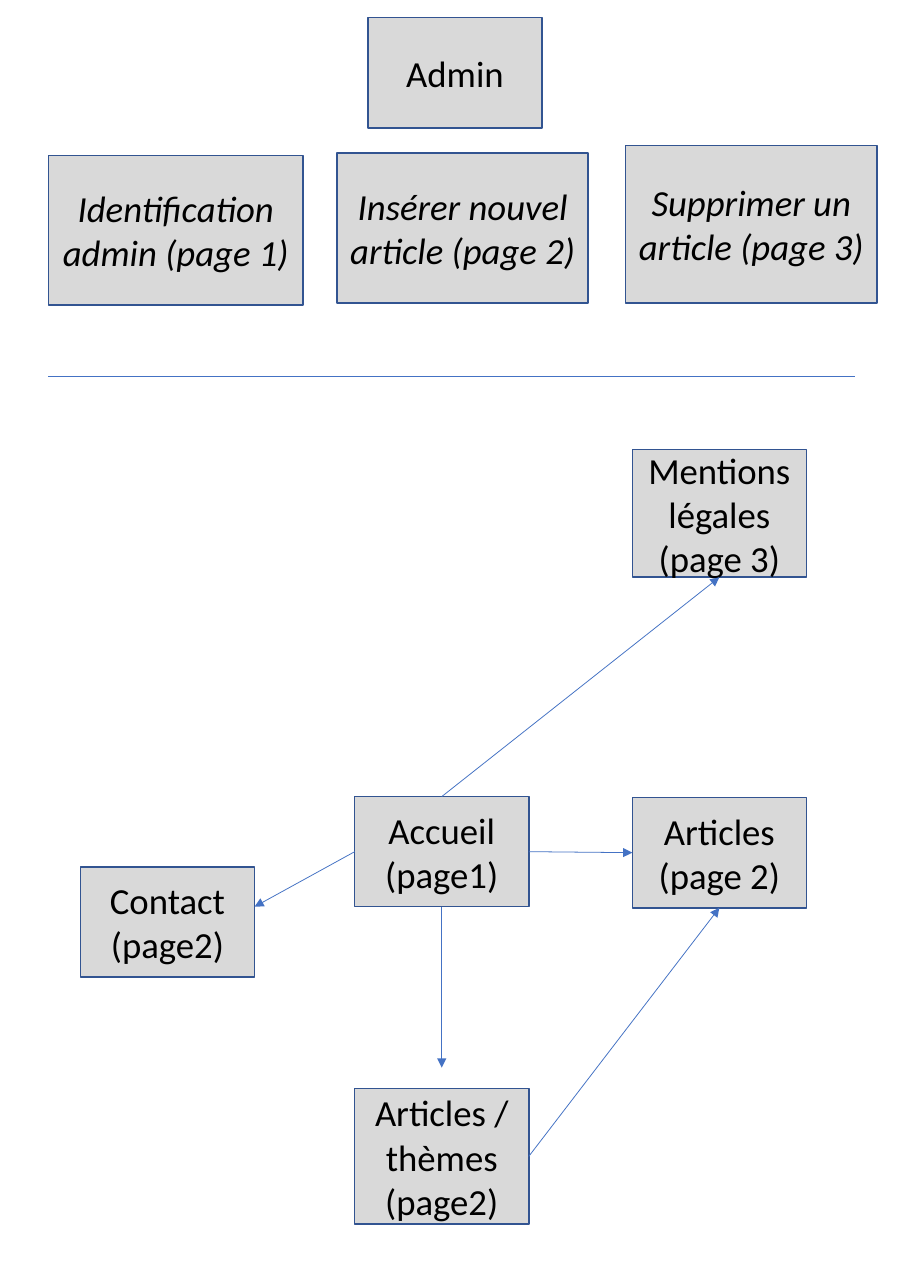
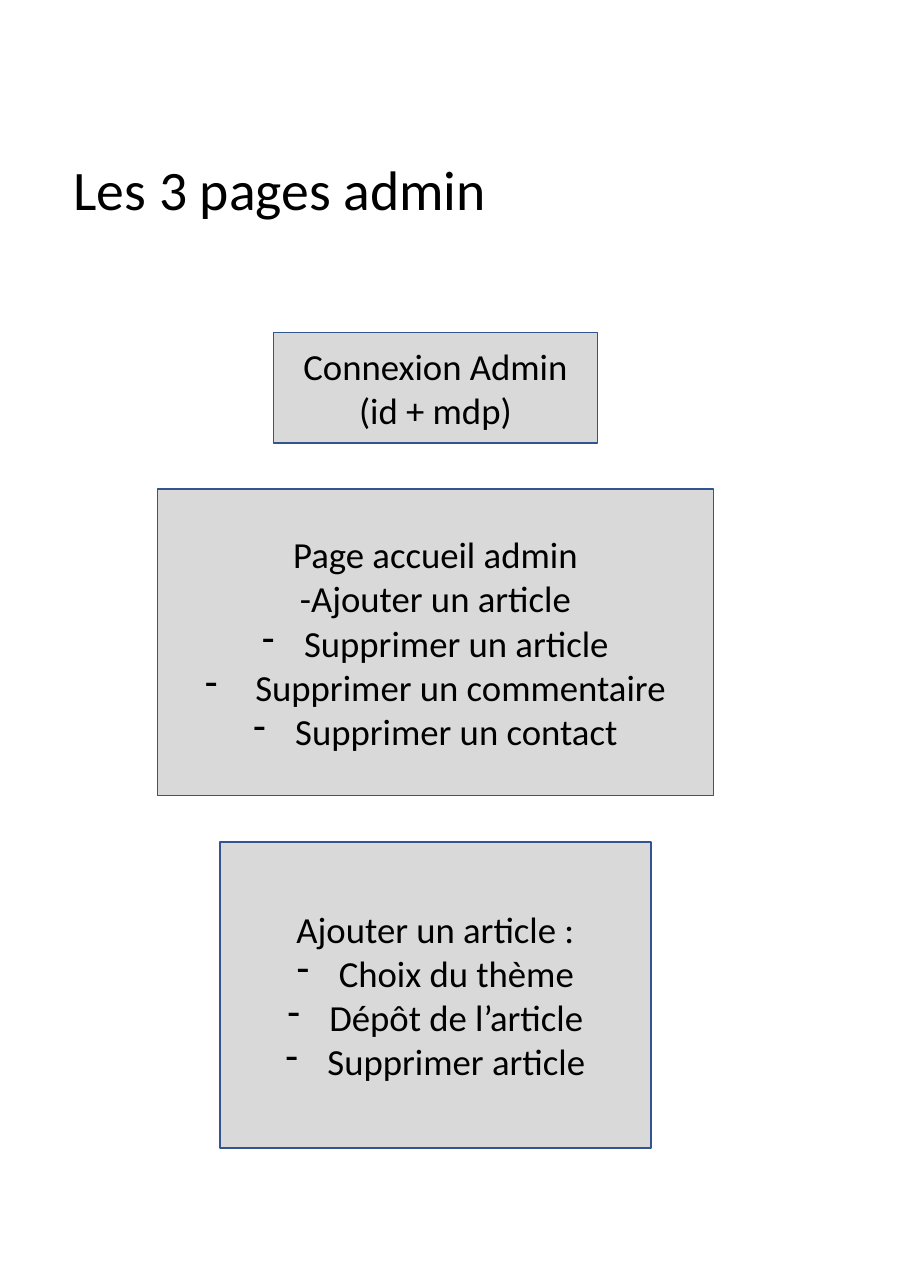
"""Build a two-slide site map: page links, then the admin pages."""
import pptx
import pptx.dml.color
import pptx.enum.shapes
import pptx.enum.text
import pptx.oxml.ns
import pptx.util
from lxml import etree

presentation = pptx.Presentation()
presentation.slide_width = pptx.util.Inches(8.27)
presentation.slide_height = pptx.util.Inches(11.69)
COLUMN = presentation.slide_width / 100
ROW = presentation.slide_height / 100

BOX_FILL, BOX_LINE, LINK, INK = "D9D9D9", "325491", "4472C4", "000000"
BODY = {"name": "Calibri", "size": pptx.util.Pt(24)}
ITALIC = {**BODY, "italic": True}
TITLE = {**BODY, "size": pptx.util.Pt(36.4)}
FRAME = {"word_wrap": True, "vertical_anchor": pptx.enum.text.MSO_ANCHOR.MIDDLE}
CENTER = pptx.enum.text.PP_ALIGN.CENTER
LEFT = pptx.enum.text.PP_ALIGN.LEFT
TOP_SIDE, LEFT_SIDE, BOTTOM_SIDE, RIGHT_SIDE = range(4)
INDENT = pptx.util.Inches(0.38)
BOX_WIDTH, BOX_HEIGHT = 19.11, 8.55


def color(hex_string):
    return pptx.dml.color.RGBColor.from_string(hex_string)


def write(shape, lines, font_format, alignment=CENTER, bullets=()):
    for name, value in FRAME.items():
        setattr(shape.text_frame, name, value)
    shape.text_frame.text = "\n".join([*lines, *bullets])
    for index, paragraph in enumerate(shape.text_frame.paragraphs):
        paragraph.alignment = alignment
        if index >= len(lines):
            properties = paragraph._p.get_or_add_pPr()
            properties.set("marL", str(INDENT))
            properties.set("indent", str(-INDENT))
            etree.SubElement(properties, pptx.oxml.ns.qn("a:buFontTx"))
            etree.SubElement(properties, pptx.oxml.ns.qn("a:buChar"), char="-")
        for run in paragraph.runs:
            for name, value in font_format.items():
                setattr(run.font, name, value)
            run.font.color.rgb = color(INK)


blank = presentation.slide_layouts[6]
map_slide = presentation.slides.add_slide(blank)
admin_slide = presentation.slides.add_slide(blank)

title = admin_slide.shapes.add_textbox(
    int(6.89 * COLUMN), int(5.3 * ROW), int(86.22 * COLUMN), int(19.33 * ROW))
write(title, ["Les 3 pages admin"], TITLE, LEFT)
title.text_frame.paragraphs[0].line_spacing = 0.9

middle, right = 38.94, 69.41
boxes = [
    (map_slide, middle, 61.85, BOX_WIDTH, BOX_HEIGHT, ["Accueil (page1)"], [], BODY),
    (map_slide, 8.83, 67.32, BOX_WIDTH, BOX_HEIGHT, ["Contact", "(page2)"], [], BODY),
    (map_slide, right, 34.9, BOX_WIDTH, 9.92, ["Mentions légales (page 3)"], [], BODY),
    (map_slide, right, 61.93, BOX_WIDTH, BOX_HEIGHT, ["Articles", "(page 2)"], [], BODY),
    (map_slide, middle, 84.52, BOX_WIDTH, 10.52, ["Articles / thèmes", "(page2)"], [], BODY),
    (map_slide, 40.39, 1.37, BOX_WIDTH, BOX_HEIGHT, ["Admin"], [], BODY),
    (map_slide, 5.32, 12.06, 27.93, 11.63, ["Identification admin (page 1)"], [], ITALIC),
    (map_slide, 37, 11.89, 27.57, 11.63, ["Insérer nouvel article (page 2)"], [], ITALIC),
    (map_slide, 68.68, 11.29, 27.57, 12.23, ["Supprimer un article (page 3)"], [], ITALIC),
]

admin_center, admin_gap, top = 47.8, 3.6, 25.83
admin_pages = [
    (35.55, BOX_HEIGHT, ["Connexion Admin (id + mdp)"], []),
    (61.06, 23.78, ["Page accueil admin", "-Ajouter un article"],
     ["Supprimer un article", " Supprimer un commentaire", "Supprimer un contact"]),
    (47.28, 23.78, ["Ajouter un article :"],
     ["Choix du thème", "Dépôt de l’article", "Supprimer article"]),
]
for width, height, lines, bullets in admin_pages:
    boxes.append((admin_slide, admin_center - width / 2, top, width, height, lines, bullets, BODY))
    top += height + admin_gap

shapes = []
for slide, left, top, width, height, lines, bullets, font_format in boxes:
    shape = slide.shapes.add_shape(
        pptx.enum.shapes.MSO_SHAPE.RECTANGLE,
        int(left * COLUMN), int(top * ROW), int(width * COLUMN), int(height * ROW))
    shape.shadow.inherit = False
    shape.fill.solid()
    shape.fill.fore_color.rgb = color(BOX_FILL)
    shape.line.color.rgb = color(BOX_LINE)
    shape.line.width = pptx.util.Pt(1)
    write(shape, lines, font_format, bullets=bullets)
    shapes.append(shape)
home, contact, legal, articles, themes = shapes[:5]

center = middle + BOX_WIDTH / 2
links = [
    ((center, 70.4), (center, 82.89), (home, BOTTOM_SIDE), None, True),
    ((58.05, 89.78), (78.97, 70.48), (themes, RIGHT_SIDE), (articles, BOTTOM_SIDE), True),
    ((58.05, 66.13), (69.41, 66.21), (home, RIGHT_SIDE), (articles, LEFT_SIDE), True),
    ((center, 61.85), (78.97, 44.82), (home, TOP_SIDE), (legal, BOTTOM_SIDE), True),
    ((38.94, 66.13), (27.94, 70.4), (home, LEFT_SIDE), None, True),
    ((5.32, 29.26), (93.83, 29.26), None, None, False),
]
for start, end, source, target, has_arrow in links:
    connector = map_slide.shapes.add_connector(
        pptx.enum.shapes.MSO_CONNECTOR.STRAIGHT,
        int(start[0] * COLUMN), int(start[1] * ROW), int(end[0] * COLUMN), int(end[1] * ROW))
    if source:
        connector.begin_connect(*source)
    if target:
        connector.end_connect(*target)
    connector.line.color.rgb = color(LINK)
    connector.line.width = pptx.util.Pt(0.5)
    if has_arrow:
        etree.SubElement(connector.line._get_or_add_ln(), pptx.oxml.ns.qn("a:tailEnd"), type="triangle")
    etree.SubElement(connector._element.spPr, pptx.oxml.ns.qn("a:effectLst"))

presentation.save("out.pptx")
